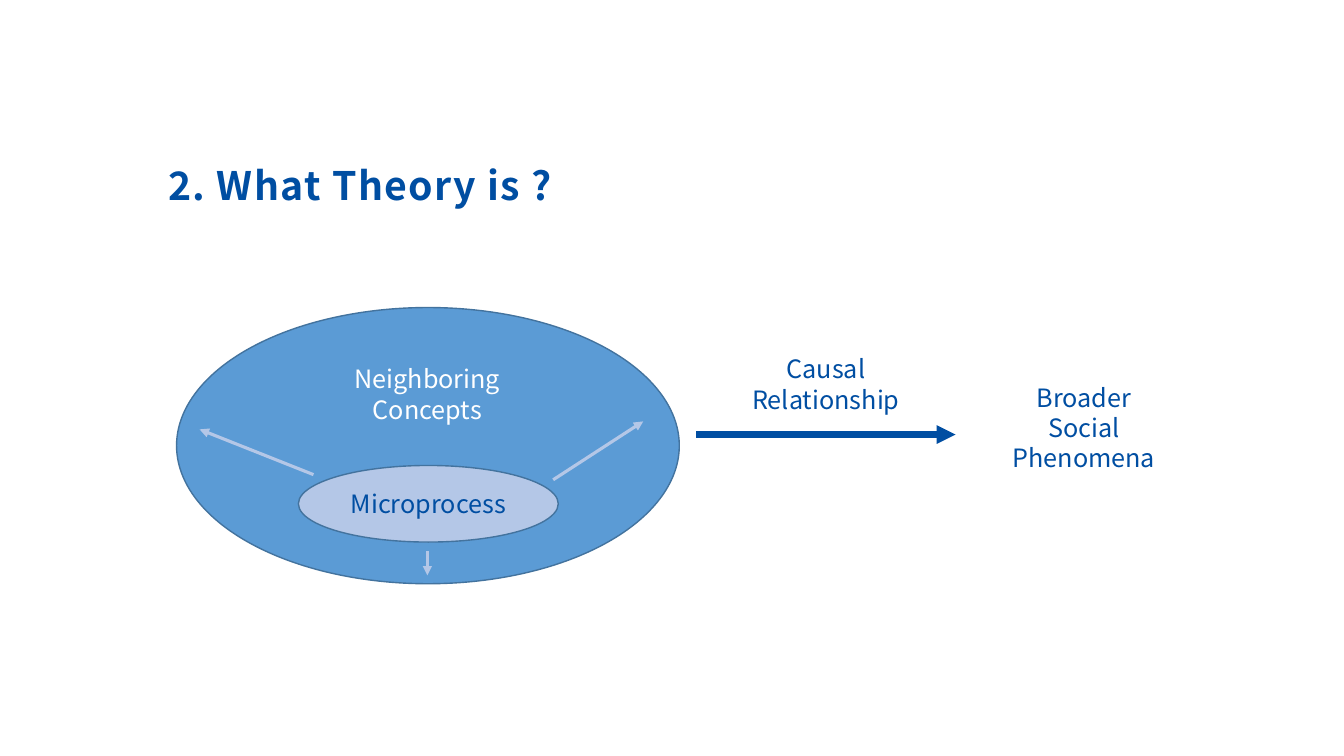
"""Build the slide that shows how a microprocess leads to broader social phenomena."""
from dataclasses import dataclass

from lxml.etree import SubElement
from pptx import Presentation
from pptx.dml.color import RGBColor as Rgb
from pptx.enum.shapes import MSO_CONNECTOR as Connector, MSO_SHAPE as Shape
from pptx.enum.text import MSO_ANCHOR as Anchor, MSO_AUTO_SIZE as AutoSize, PP_ALIGN as Align
from pptx.oxml.ns import qn
from pptx.util import Cm, Pt


@dataclass(frozen=True)
class Theme:
    font: str = "Noto Sans CJK SC"
    navy: Rgb = Rgb.from_string("004EA2")
    blue: Rgb = Rgb.from_string("5B9BD5")
    pale: Rgb = Rgb.from_string("B4C7E7")
    outline: Rgb = Rgb.from_string("43739E")
    white: Rgb = Rgb.from_string("FFFFFF")
    title_size: int = 28
    label_size: int = 18
    leading: float = 1.2
    outline_width: float = 1
    spread_width: float = 2.25
    cause_width: float = 4.5


THEME = Theme()
TITLE = ("2. What Theory is ?", (3.99, 3.94, 10.8, 1.45))
ELLIPSES = [
    ([], (4.45, 7.75, 12.67, 6.96), THEME.blue),
    (["Microprocess"], (7.52, 11.73, 6.55, 1.93), THEME.pale),
]
LABELS = [
    (["Neighboring", "Concepts"], (8.56, 9.04, 4.42, 1.8), THEME.white),
    (["Causal", "Relationship"], (18.67, 8.79, 4.29, 1.8), THEME.navy),
    (["Broader", "Social", "Phenomena"], (25.22, 9.5, 4.19, 2.57), THEME.navy),
]
SPREAD = [
    (13.94, 12.09, 16.21, 10.62),
    (7.9, 11.96, 5.03, 10.82),
    (10.77, 13.89, 10.77, 14.5),
]
CAUSE = (17.55, 10.95, 24.08, 10.95)


def lengths(values):
    return [Cm(value) for value in values]


def write(frame, lines, color, size=THEME.label_size, align=Align.CENTER, bold=False):
    for index, line in enumerate(lines):
        paragraph = frame.add_paragraph() if index else frame.paragraphs[0]
        paragraph.text = line
        paragraph.alignment = align
        paragraph.line_spacing = Pt(size * THEME.leading)
        font = paragraph.font
        font.name, font.size, font.bold = THEME.font, Pt(size), bold
        font.color.rgb = color


def add_label(shapes, lines, box, color, **style):
    frame = shapes.add_textbox(*lengths(box)).text_frame
    frame.word_wrap = False
    frame.auto_size = AutoSize.SHAPE_TO_FIT_TEXT
    write(frame, lines, color, **style)
    return frame


def add_ellipse(shapes, lines, box, fill):
    ellipse = shapes.add_shape(Shape.OVAL, *lengths(box))
    ellipse.shadow.inherit = False
    ellipse.fill.solid()
    ellipse.fill.fore_color.rgb = fill
    ellipse.line.color.rgb = THEME.outline
    ellipse.line.width = Pt(THEME.outline_width)
    ellipse.text_frame.vertical_anchor = Anchor.MIDDLE
    write(ellipse.text_frame, lines, THEME.navy)


def add_arrow(shapes, ends, color, width):
    arrow = shapes.add_connector(Connector.STRAIGHT, *lengths(ends))
    arrow.line.color.rgb = color
    arrow.line.width = Pt(width)
    SubElement(arrow.line._get_or_add_ln(), qn("a:tailEnd"), type="triangle")
    SubElement(arrow._element.spPr, qn("a:effectLst"))


deck = Presentation()
deck.slide_width, deck.slide_height = Cm(33.87), Cm(19.05)
slide = deck.slides.add_slide(deck.slide_layouts[6])
diagram = slide.shapes.add_group_shape().shapes

for ellipse in ELLIPSES:
    add_ellipse(diagram, *ellipse)
for label in LABELS:
    add_label(diagram, *label)
for ends in SPREAD:
    add_arrow(diagram, ends, THEME.pale, THEME.spread_width)
add_arrow(diagram, CAUSE, THEME.navy, THEME.cause_width)

heading, heading_box = TITLE
title = add_label(slide.shapes, [heading], heading_box, THEME.navy,
                  size=THEME.title_size, align=Align.LEFT, bold=True)
title.paragraphs[0].runs[0].font._element.set("spc", "100")

deck.save("out.pptx")
